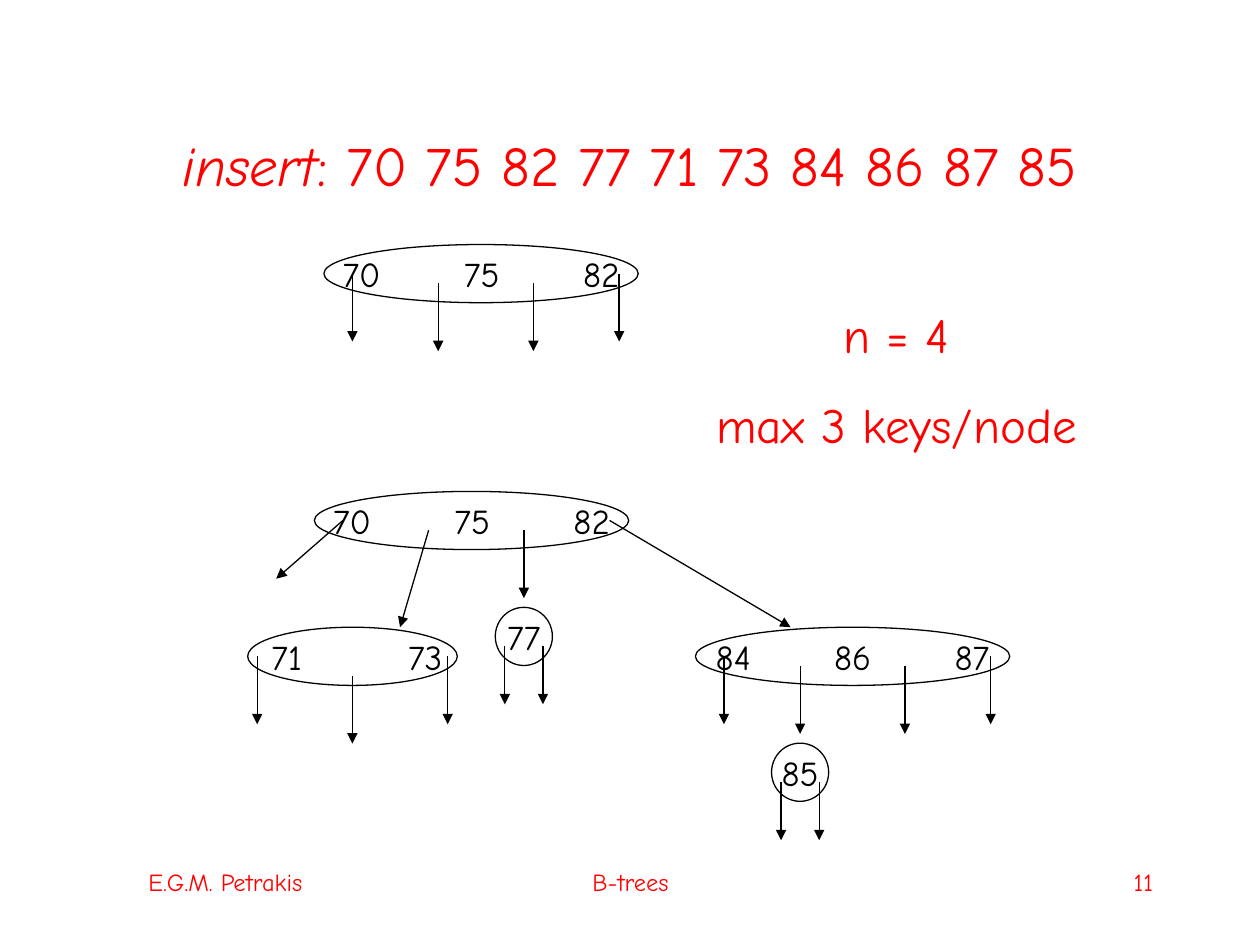
from pptx import Presentation
from pptx.dml.color import RGBColor
from pptx.enum.shapes import MSO_CONNECTOR, MSO_SHAPE
from pptx.enum.text import MSO_ANCHOR, PP_ALIGN
from pptx.oxml.ns import qn
from pptx.util import Inches, Pt
from lxml.etree import SubElement

COLORS = {"accent": "FF0000", "ink": "000000"}
COL, ROW = 0.0756, 0.077  # grid pitch in inches
NODE_ROWS = 6


class TreeSlide:
    """Style of the slide and one method for each kind of element."""

    font = "Comic Neue"
    line_width = Pt(0.75)

    def __init__(self, prs):
        self.w, self.h = prs.slide_width, prs.slide_height
        self.s = prs.slides.add_slide(prs.slide_layouts[5])

    def style(self, r, size, color, italic=None):
        r.font.name, r.font.size, r.font.italic = self.font, Pt(size), italic
        r.font.color.rgb = RGBColor.from_string(COLORS[color])

    def place(self, sp, x, y, w, h):
        """Position by shares of the slide's size."""
        sp.left, sp.width = int(x * self.w), int(w * self.w)
        sp.top, sp.height = int(y * self.h), int(h * self.h)

    def title(self, lead, rest):
        sp = self.s.shapes.title
        self.place(sp, 0.075, 0.09, 0.85, 0.167)
        tf = sp.text_frame
        tf.vertical_anchor = MSO_ANCHOR.MIDDLE
        p = tf.paragraphs[0]
        p.alignment = PP_ALIGN.CENTER
        for text, italic in ((lead, True), (rest, False)):
            r = p.add_run()
            r.text = text
            self.style(r, 32, "accent", italic)

    def text(self, lines, box, size, align=PP_ALIGN.CENTER, gap=0):
        sp = self.s.shapes.add_textbox(0, 0, 0, 0)
        self.place(sp, *box)
        tf = sp.text_frame
        tf.word_wrap = True
        tf.text = "\n".join(lines)
        for i, p in enumerate(tf.paragraphs):
            p.alignment = align
            if i:
                p.space_before = Pt(gap)
            self.style(p.runs[0], size, "accent")

    def node(self, keys, col, row, cols, pointers, gap=41, indent=0.1):
        """Ellipse with spaced keys; pointers are (col, row, dcol, drow) from its corner."""
        sp = self.s.shapes.add_shape(
            MSO_SHAPE.OVAL, Inches(col * COL), Inches(row * ROW),
            Inches(cols * COL), Inches(NODE_ROWS * ROW))
        sp.shadow.inherit = False
        sp.fill.background()
        sp.line.color.rgb = RGBColor.from_string(COLORS["ink"])
        sp.line.width = self.line_width
        tf = sp.text_frame
        tf.word_wrap = False
        tf.vertical_anchor = MSO_ANCHOR.MIDDLE
        tf.margin_left = Inches(indent)
        p = tf.paragraphs[0]
        p.alignment = PP_ALIGN.CENTER
        for i, key in enumerate(keys):
            if i:
                r = p.add_run()
                r.text = " "
                self.style(r, 20, "ink")
                # Character spacing widens the gap between keys
                r._r.get_or_add_rPr().set("spc", str(gap * 100))
            r = p.add_run()
            r.text = str(key)
            self.style(r, 20, "ink")
        for x, y, dx, dy in pointers:
            self.arrow(col + x, row + y, dx, dy)

    def arrow(self, col, row, dcol, drow):
        c = self.s.shapes.add_connector(
            MSO_CONNECTOR.STRAIGHT, Inches(col * COL), Inches(row * ROW),
            Inches((col + dcol) * COL), Inches((row + drow) * ROW))
        c.line.color.rgb = RGBColor.from_string(COLORS["ink"])
        c.line.width = self.line_width
        SubElement(c.line._get_or_add_ln(), qn("a:tailEnd"), type="triangle")
        SubElement(c._element.spPr, qn("a:effectLst"))


def down(starts, length=7):
    """Vertical pointers from (col, row) starts."""
    return [(x, y, 0, length) for x, y in starts]


def main():
    prs = Presentation()
    prs.slide_width, prs.slide_height = Inches(10), Inches(7.5)
    s = TreeSlide(prs)

    # Heading and node capacity
    s.title("insert", ": 70 75 82 77 71 73 84 86 87 85")
    s.text(["n = 4", "max 3 keys/node"], (0.53, 0.316, 0.363, 0.17), 28, gap=17.5)

    # Single node after the first three keys
    s.node([70, 75, 82], 34, 25.2, 33, down([(3, 3), (12, 4), (22, 4), (31, 3)]))

    # Full tree: root, then its children
    s.node([70, 75, 82], 33, 50.65, 33,
           [(3, 3, -7, 6), (12, 4, -3, 10), (22, 4, 0, 7), (31, 3, 19, 11)])
    s.node([71, 73], 26, 64.65, 22, down([(1, 3), (11, 5), (21, 3)]),
           gap=54, indent=0.17)
    s.node([84, 86, 87], 73, 64.65, 33, down([(3, 3), (11, 4), (22, 4), (31, 3)]))
    for key, col, row in ((77, 52, 62.6), (85, 81, 76.6)):
        s.node([key], col, row, 6, down([(1, 4), (5, 4)], 6))

    # Footer
    for text, x, w, align in (("E.G.M. Petrakis", 0.075, 0.208, PP_ALIGN.CENTER),
                              ("B-trees", 0.342, 0.317, PP_ALIGN.CENTER),
                              ("11", 0.717, 0.208, PP_ALIGN.RIGHT)):
        s.text([text], (x, 0.911, w, 0.067), 14, align)

    prs.save("out.pptx")


if __name__ == "__main__":
    main()
